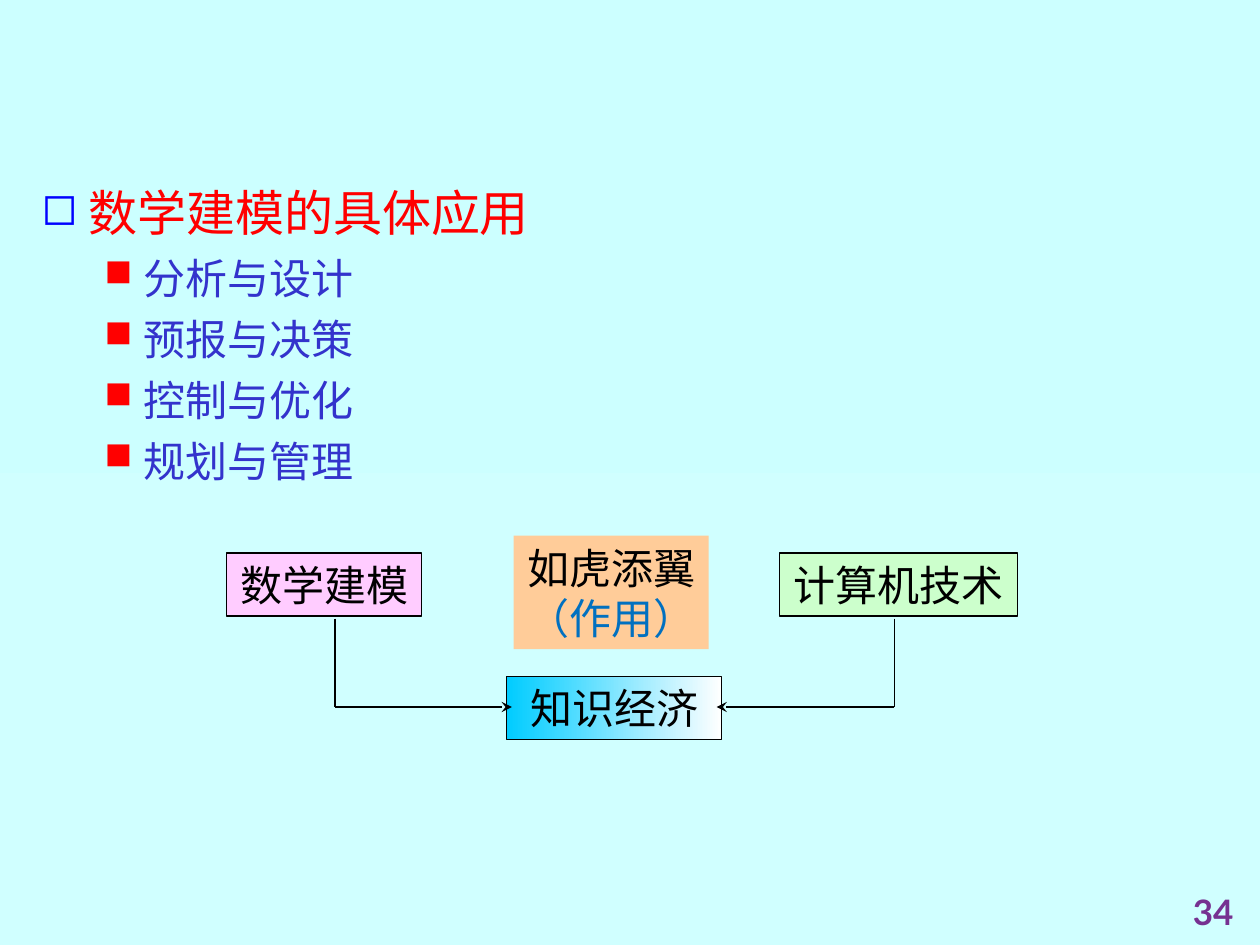
import pptx
import pptx.util
import pptx.dml.color
import pptx.enum.shapes
import pptx.enum.text
import pptx.oxml
import pptx.oxml.ns
import pptx.oxml.xmlchemy

Pt = pptx.util.Pt
BODY_FONT = "Times New Roman"
COLORS = {
    "sky_top": "CCFFFF", "sky_bottom": "D0FFFF", "number": "763191",
    "red": "FF0000", "blue": "0000FF", "item": "3333CC", "black": "000000",
    "pink": "FFCCFF", "green": "CCFFCC", "orange": "FFCC99",
    "cyan": "00CCFF", "white": "FFFFFF", "note": "0070C0",
}


def rgb(name):
    return pptx.dml.color.RGBColor.from_string(COLORS[name])


def add_element(parent, tag, **attributes):
    element = pptx.oxml.xmlchemy.OxmlElement(tag)
    for key, value in attributes.items():
        element.set(key, str(value))
    parent.append(element)
    return element


def fill_gradient(fill, first, last, angle):
    fill.gradient()
    fill.gradient_angle = angle
    for stop, color in zip(fill.gradient_stops, (first, last)):
        stop.color.rgb = rgb(color)


def style_font(font, size, color, name=BODY_FONT, bold=False):
    font.size = Pt(size)
    font.name = name
    font.bold = bold
    font.color.rgb = rgb(color)


def style_runs(para, size, color, name=BODY_FONT, bold=False):
    for span in para.runs:
        style_font(span.font, size, color, name, bold)


def add_bullet(para, symbol, color, left, hanging):
    properties = para._p.get_or_add_pPr()
    properties.set("marL", str(Pt(left)))
    properties.set("indent", str(-Pt(hanging)))
    holder = add_element(properties, "a:buClr")
    add_element(holder, "a:srgbClr", val=COLORS[color])
    add_element(properties, "a:buSzPct", val=90000)
    add_element(properties, "a:buChar", char=symbol)


def add_outline(page, heading, items):
    box = page.shapes.add_textbox(Pt(16.5), Pt(101), Pt(578), Pt(180))
    frame = box.text_frame
    frame.word_wrap = True
    frame.text = "\n".join([heading, *items])
    title, *entries = frame.paragraphs
    add_bullet(title, "◻", "blue", 27, 27)
    style_runs(title, 28, "red")
    for para in entries:
        para.level = 1
        add_bullet(para, "■", "red", 58.5, 22.5)
        para.space_before = Pt(6)
        style_runs(para, 24, "item")


def add_label(page, lines, left, top, width, height, fill, outlined=True):
    box = page.shapes.add_shape(
        pptx.enum.shapes.MSO_SHAPE.RECTANGLE,
        Pt(left), Pt(top), Pt(width), Pt(height))
    box.shadow.inherit = False
    if isinstance(fill, tuple):
        fill_gradient(box.fill, *fill, 0)
    else:
        box.fill.solid()
        box.fill.fore_color.rgb = rgb(fill)
    if outlined:
        box.line.color.rgb = rgb("black")
        box.line.width = Pt(0.75)
    else:
        box.line.fill.background()
    frame = box.text_frame
    frame.word_wrap = True
    frame.vertical_anchor = pptx.enum.text.MSO_ANCHOR.MIDDLE
    frame.text = "\n".join(text for text, color in lines)
    for para, (text, color) in zip(frame.paragraphs, lines):
        para.alignment = pptx.enum.text.PP_ALIGN.CENTER
        style_runs(para, 24, color)


def add_line(page, start, end, arrow=False):
    line = page.shapes.add_connector(
        pptx.enum.shapes.MSO_CONNECTOR.STRAIGHT, *map(Pt, start + end))
    line.line.color.rgb = rgb("black")
    line.line.width = Pt(0.75)
    if arrow:
        add_element(line.line._get_or_add_ln(), "a:tailEnd", type="stealth")
    add_element(line._element.spPr, "a:effectLst")


def add_elbow_arrow(page, start_x, end_x):
    top, bottom = 353.5, 404
    add_line(page, (start_x, top), (start_x, bottom))
    add_line(page, (start_x, bottom), (end_x, bottom), arrow=True)


def add_page_number(page, number):
    box = page.shapes.add_textbox(Pt(635), Pt(505.5), Pt(116.5), Pt(34.5))
    frame = box.text_frame
    frame.word_wrap = False
    frame.text = number
    para = frame.paragraphs[0]
    para.alignment = pptx.enum.text.PP_ALIGN.CENTER
    style_runs(para, 20, "number", "Lato", True)


def main():
    deck = pptx.Presentation()
    deck.slide_width, deck.slide_height = Pt(720), Pt(540)
    page = deck.slides.add_slide(deck.slide_layouts[6])
    fill_gradient(page.background.fill, "sky_top", "sky_bottom", 270)

    add_page_number(page, "34")
    add_outline(page, "数学建模的具体应用",
                ["分析与设计", "预报与决策", "控制与优化", "规划与管理"])
    add_label(page, [("数学建模", "black")], 129.5, 316, 111.5, 36, "pink")
    add_label(page, [("计算机技术", "black")], 445.5, 316, 136, 36, "green")
    add_label(page, [("知识经济", "black")], 289.5, 386.5, 123, 36,
              ("cyan", "white"))
    add_elbow_arrow(page, 191.5, 292.5)
    add_elbow_arrow(page, 511, 409.5)
    add_label(page, [("如虎添翼", "black"), ("（作用）", "note")],
              293.5, 306, 111.5, 65, "orange", outlined=False)
    deck.save("out.pptx")


if __name__ == "__main__":
    main()
